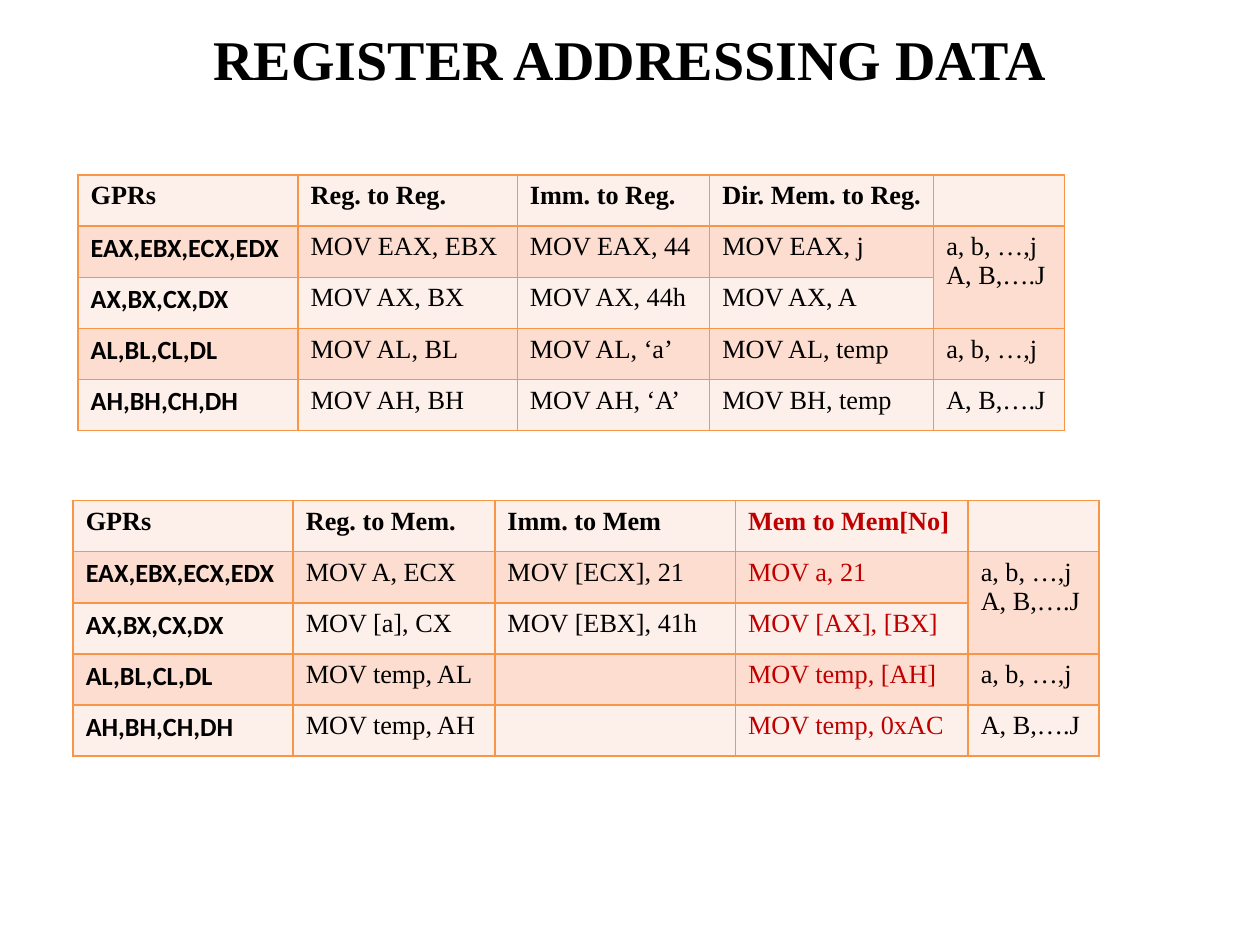
from lxml.etree import SubElement
from pptx import Presentation
from pptx.dml.color import RGBColor
from pptx.enum.text import MSO_ANCHOR as Anchor, PP_ALIGN as Align
from pptx.oxml.ns import qn
from pptx.util import Pt

COLORS = {"ink": "000000", "invalid": "C00000", "border": "F79646",
          "light": "FDEFE9", "dark": "FCDDCF"}
SERIF, SANS = "Times New Roman", "Calibri"
HEADING = "REGISTER ADDRESSING DATA"
REGISTERS = ["GPRs", "EAX,EBX,ECX,EDX", "AX,BX,CX,DX", "AL,BL,CL,DL", "AH,BH,CH,DH"]
VALUES = ["", "a, b, …,j\nA, B,….J", "", "a, b, …,j", "A, B,….J"]
ROW_HEIGHT = 29.25

MOVE_TABLES = [
    {
        "left": 44.6, "top": 100, "widths": [125.75, 125.25, 110, 128, 74.9],
        "invalid_column": None,
        "moves": [
            ["Reg. to Reg.", "Imm. to Reg.", "Dir. Mem. to Reg."],
            ["MOV EAX, EBX", "MOV EAX, 44", "MOV EAX, j"],
            ["MOV AX, BX", "MOV AX, 44h", "MOV AX, A"],
            ["MOV AL, BL", "MOV AL, ‘a’", "MOV AL, temp"],
            ["MOV AH, BH", "MOV AH, ‘A’", "MOV BH, temp"],
        ],
    },
    {
        "left": 41.8, "top": 286, "widths": [125.75, 115.25, 137.5, 133, 74.9],
        "invalid_column": 3,
        "moves": [
            ["Reg. to Mem.", "Imm. to Mem", "Mem to Mem[No]"],
            ["MOV A, ECX", "MOV [ECX], 21", "MOV a, 21"],
            ["MOV [a], CX", "MOV [EBX], 41h", "MOV [AX], [BX]"],
            ["MOV temp, AL", "", "MOV temp, [AH]"],
            ["MOV temp, AH", "", "MOV temp, 0xAC"],
        ],
    },
]


def rgb(name):
    return RGBColor.from_string(COLORS[name])


def add_text(paragraph, text, size, font=SERIF, color="ink", bold=False):
    run = paragraph.add_run()
    run.text = text
    run.font.size = Pt(size)
    run.font.name = font
    run.font.bold = bold
    run.font.color.rgb = rgb(color)


def style_cell(cell, fill):
    properties = cell._tc.get_or_add_tcPr()
    for side in ("lnL", "lnR", "lnT", "lnB"):
        border = SubElement(properties, qn(f"a:{side}"), w=str(Pt(1)))
        solid = SubElement(border, qn("a:solidFill"))
        SubElement(solid, qn("a:srgbClr"), val=COLORS["border"])
    cell.fill.solid()
    cell.fill.fore_color.rgb = rgb(fill)


def add_move_table(slide, left, top, widths, invalid_column, moves):
    rows = [[register, *row, value]
            for register, row, value in zip(REGISTERS, moves, VALUES)]
    table = slide.shapes.add_table(
        len(rows), len(widths), Pt(left), Pt(top),
        Pt(sum(widths)), Pt(ROW_HEIGHT * len(rows))).table
    for column, width in zip(table.columns, widths):
        column.width = Pt(width)
    for r, row in enumerate(rows):
        table.rows[r].height = Pt(ROW_HEIGHT)
        for c, text in enumerate(row):
            cell = table.cell(r, c)
            style_cell(cell, "dark" if r % 2 else "light")
            for i, line in enumerate(text.split("\n") if text else []):
                frame = cell.text_frame
                paragraph = frame.add_paragraph() if i else frame.paragraphs[0]
                add_text(paragraph, line, 15,
                         font=SANS if r and c == 0 else SERIF,
                         color="invalid" if c == invalid_column else "ink",
                         bold=r == 0 or c == 0)
    last = len(widths) - 1
    table.cell(1, last).merge(table.cell(2, last))


def main():
    """Build the slide of register addressing tables."""
    deck = Presentation()
    deck.slide_width, deck.slide_height = Pt(720), Pt(540)
    slide = deck.slides.add_slide(deck.slide_layouts[5])
    heading = slide.shapes.title
    heading.left, heading.top, heading.width, heading.height = (
        Pt(-2), Pt(0), Pt(724), Pt(66))
    heading.text_frame.vertical_anchor = Anchor.MIDDLE
    heading.text_frame.paragraphs[0].alignment = Align.CENTER
    add_text(heading.text_frame.paragraphs[0], HEADING, 32, bold=True)
    for move_table in MOVE_TABLES:
        add_move_table(slide, **move_table)
    deck.save("out.pptx")


if __name__ == "__main__":
    main()
